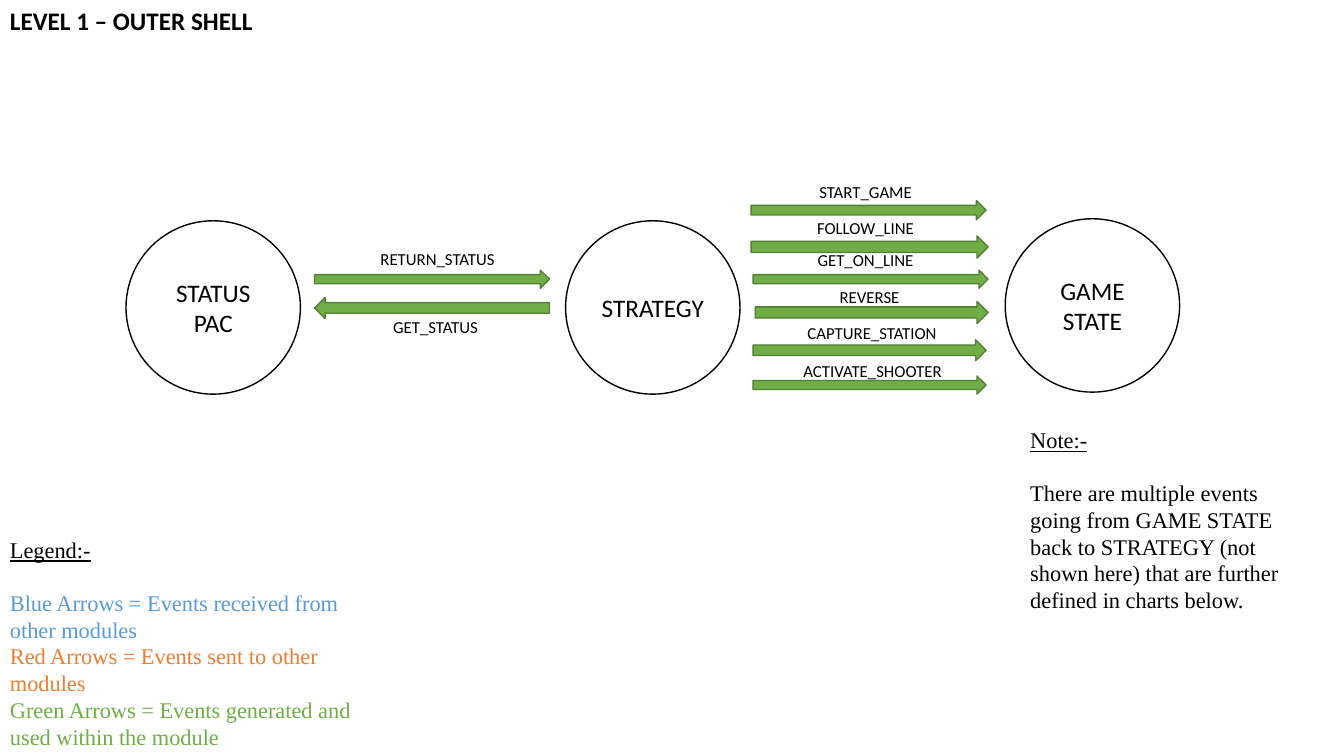
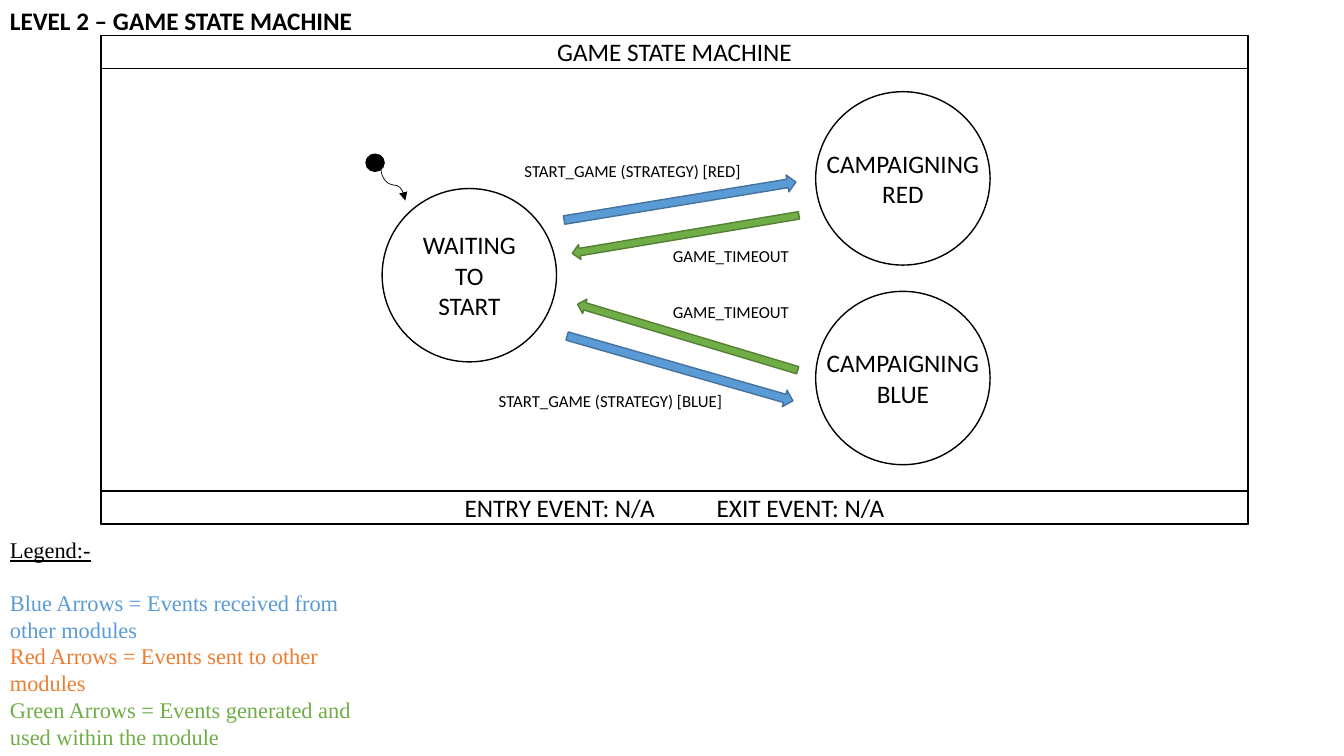
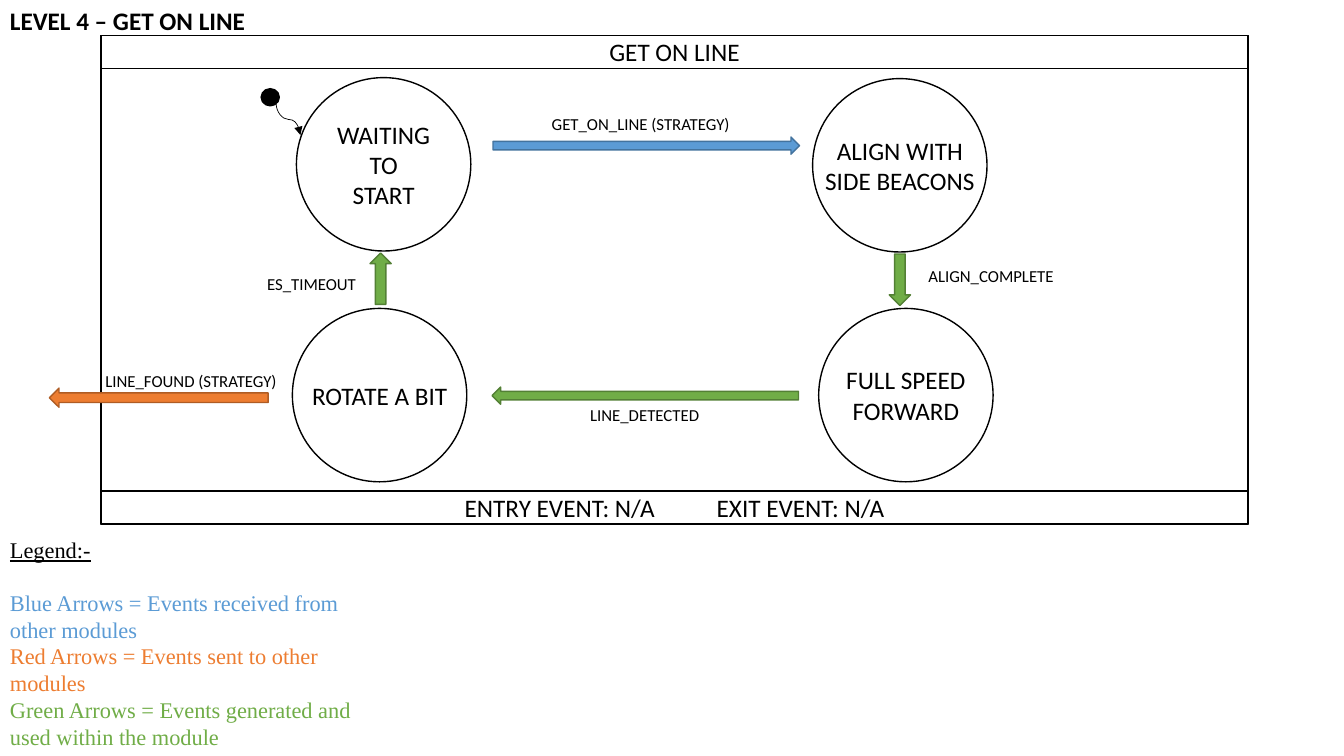
from collections import namedtuple
from dataclasses import dataclass

from lxml import etree
from pptx import Presentation
from pptx.dml.color import RGBColor
from pptx.enum.shapes import MSO_CONNECTOR, MSO_SHAPE
from pptx.enum.text import MSO_ANCHOR, MSO_AUTO_SIZE, PP_ALIGN
from pptx.oxml.ns import qn
from pptx.util import Inches, Pt

OVAL = MSO_SHAPE.OVAL
RECTANGLE = MSO_SHAPE.RECTANGLE
RIGHT_ARROW = MSO_SHAPE.RIGHT_ARROW
CURVE = MSO_CONNECTOR.CURVE
LEFT, CENTER = PP_ALIGN.LEFT, PP_ALIGN.CENTER
MIDDLE = MSO_ANCHOR.MIDDLE
GROW = MSO_AUTO_SIZE.SHAPE_TO_FIT_TEXT

Box = namedtuple("Box", "left top width height")
ArrowStyle = namedtuple("ArrowStyle", "fill line")


@dataclass(frozen=True)
class Theme:
    """Colours, fonts and sizes shared by every slide."""
    ink: str = "000000"
    paper: str = "FFFFFF"
    received: ArrowStyle = ArrowStyle("5B9BD5", "43739E")
    sent: ArrowStyle = ArrowStyle("ED7D31", "AF5C24")
    internal: ArrowStyle = ArrowStyle("70AD47", "538035")
    font: str = "Calibri"
    note_font: str = "Times New Roman"
    heading_size: float = 18
    note_size: float = 16
    event_size: float = 12
    note_gap: float = 18.4
    outline: float = 1
    thin_line: float = 0.5


THEME = Theme()
RECEIVED, SENT, INTERNAL = THEME.received, THEME.sent, THEME.internal
SLIDE_SIZE = (13.33, 7.5)
LEGEND_BOX = Box(0, 5.27, 3.92, 2.2)
NOTE_BOX = Box(10.12, 4.18, 3, 2.29)
MACHINE_BOX = Box(1, 0.35, 11.38, 4.85)
BAND_HEIGHT = 0.33
STATE_WIDTH, STATE_HEIGHT = 1.73, 1.72
LINE_HEIGHT = 0.3
EVENT_HEIGHT = 0.3
NARROW, WIDE = 1.12, 1.85

LEGEND = [
    ("Blue Arrows = Events received from other modules", RECEIVED.fill),
    ("Red Arrows = Events sent to other modules", SENT.fill),
    ("Green Arrows = Events generated and used within the module", INTERNAL.fill),
]
NOTE = [
    ("There are multiple events going from GAME STATE back to STRATEGY "
     "(not shown here) that are further defined in charts below.", THEME.ink),
]

# States: label, left, top, label width, label lines
# Events: label, label (left, top, width), arrow box, rotation, arrow style
SHELL_STATES = [
    ("STATUS PAC", 1.25, 2.19, NARROW, 2),
    ("STRATEGY", 5.61, 2.19, 1.26, 1),
    ("GAME STATE", 9.97, 2.17, NARROW, 2),
]
SHELL_EVENTS = [
    ("RETURN_STATUS", (3.67, 2.42, 1.34), Box(3.12, 2.68, 2.33, 0.18), 0, INTERNAL),
    ("GET_STATUS", (3.6, 3.09, 1.44), Box(3.12, 2.95, 2.33, 0.21), 180, INTERNAL),
    ("START_GAME", (7.92, 1.75, 1.33), Box(7.45, 1.99, 2.33, 0.19), 0, INTERNAL),
    ("FOLLOW_LINE", (7.92, 2.11, 1.33), Box(7.45, 2.34, 2.35, 0.22), 0, INTERNAL),
    ("GET_ON_LINE", (7.92, 2.43, 1.33), Box(7.47, 2.68, 2.33, 0.18), 0, INTERNAL),
    ("REVERSE", (7.96, 2.8, 1.33), Box(7.49, 2.99, 2.31, 0.22), 0, INTERNAL),
    ("CAPTURE_STATION", (7.87, 3.15, 1.56), Box(7.47, 3.37, 2.31, 0.21), 0, INTERNAL),
    ("ACTIVATE_SHOOTER", (7.85, 3.53, 1.61), Box(7.47, 3.73, 2.31, 0.18), 0, INTERNAL),
]
GAME_STATES = [
    ("WAITING TO START", 3.79, 1.87, NARROW, 3),
    ("CAMPAIGNING RED", 8.09, 0.91, WIDE, 2),
    ("CAMPAIGNING BLUE", 8.09, 2.89, WIDE, 2),
]
GAME_EVENTS = [
    ("START_GAME (STRATEGY) [RED]", (4.74, 1.55, 3.07),
     Box(5.58, 1.91, 2.33, 0.17), 350.7, RECEIVED),
    ("GAME_TIMEOUT", (6.53, 2.39, 1.44), Box(5.66, 2.25, 2.28, 0.15), 170.5, INTERNAL),
    ("START_GAME (STRATEGY) [BLUE]", (4.52, 3.83, 3.07),
     Box(5.58, 3.57, 2.33, 0.17), 16, RECEIVED),
    ("GAME_TIMEOUT", (6.53, 2.94, 1.44), Box(5.68, 3.27, 2.28, 0.15), 196.7, INTERNAL),
]
LINE_STATES = [
    ("WAITING TO START", 2.94, 0.77, NARROW, 3),
    ("ALIGN WITH SIDE BEACONS", 8.06, 0.78, WIDE, 2),
    ("FULL SPEED FORWARD", 8.12, 3.06, WIDE, 2),
    ("ROTATE A BIT", 2.9, 3.06, WIDE, 1),
]
LINE_EVENTS = [
    ("GET_ON_LINE (STRATEGY)", (4.82, 1.08, 3.07),
     Box(4.89, 1.36, 3.04, 0.17), 0, RECEIVED),
    ("ALIGN_COMPLETE", (9.06, 2.59, 1.54), Box(8.67, 2.67, 0.51, 0.21), 90, INTERNAL),
    ("LINE_DETECTED", (4.86, 3.97, 3.07), Box(4.88, 3.84, 3.04, 0.17), 180, INTERNAL),
    ("ES_TIMEOUT", (2.37, 2.67, 1.44), Box(3.52, 2.66, 0.51, 0.21), 270, INTERNAL),
    ("LINE_FOUND (STRATEGY)", (0.9, 3.63, 1.99),
     Box(0.49, 3.85, 2.17, 0.19), 180, SENT),
]


def to_lengths(box):
    """Convert a box in inches to slide lengths."""
    return [Inches(value) for value in box]


def add_run(paragraph, text, size, color=THEME.ink, font=THEME.font,
            bold=False, underline=False):
    """Append one formatted run to a paragraph."""
    run = paragraph.add_run()
    run.text = text
    run.font.name = font
    run.font.size = Pt(size)
    run.font.color.rgb = RGBColor.from_string(color)
    run.font.bold = bold
    run.font.underline = underline


def add_text_box(shapes, box, wrap=True):
    """Add an empty text box that grows with its text; return its frame."""
    frame = shapes.add_textbox(*to_lengths(box)).text_frame
    frame.word_wrap = wrap
    frame.auto_size = GROW
    return frame


def add_label(shapes, box, text, size, align=CENTER, wrap=True, bold=False):
    """Add a text box holding one paragraph."""
    paragraph = add_text_box(shapes, box, wrap).paragraphs[0]
    paragraph.alignment = align
    add_run(paragraph, text, size, bold=bold)


def add_outlined(shapes, kind, box, fill=None, line=THEME.ink):
    """Add a flat preset shape with an outline and an optional fill."""
    shape = shapes.add_shape(kind, *to_lengths(box))
    shape.shadow.inherit = False
    if fill:
        shape.fill.solid()
        shape.fill.fore_color.rgb = RGBColor.from_string(fill)
    else:
        shape.fill.background()
    shape.line.color.rgb = RGBColor.from_string(line)
    shape.line.width = Pt(THEME.outline)
    return shape


def draw_notes(slide, box, heading, entries):
    """Draw an underlined heading with coloured paragraphs below it."""
    frame = add_text_box(slide.shapes, box)
    paragraph = frame.paragraphs[0]
    paragraph.space_after = Pt(THEME.note_gap)
    add_run(paragraph, heading, THEME.note_size, font=THEME.note_font, underline=True)
    for text, color in entries:
        add_run(frame.add_paragraph(), text, THEME.note_size, color, THEME.note_font)


def draw_band(shapes, box, text):
    """Draw one captioned band of a machine frame."""
    band = add_outlined(shapes, RECTANGLE, box, THEME.paper)
    band.text_frame.vertical_anchor = MIDDLE
    paragraph = band.text_frame.paragraphs[0]
    paragraph.alignment = CENTER
    add_run(paragraph, text, THEME.heading_size)


def draw_machine_frame(slide, box, name):
    """Draw the frame of a state machine with its top and bottom bands."""
    shapes = slide.shapes.add_group_shape().shapes
    add_outlined(shapes, RECTANGLE, box)
    top_band = box._replace(height=BAND_HEIGHT)
    draw_band(shapes, top_band, name)
    draw_band(shapes, top_band._replace(top=box.top + box.height - BAND_HEIGHT),
              "ENTRY EVENT: N/A\t\tEXIT EVENT: N/A")


def draw_state(slide, box, text, label_width, lines):
    """Draw a state circle with its label centred on it."""
    shapes = slide.shapes.add_group_shape().shapes
    add_outlined(shapes, OVAL, box, THEME.paper)
    label_height = 0.1 + LINE_HEIGHT * lines
    label_box = Box(box.left + (box.width - label_width) / 2,
                    box.top + (box.height - label_height) / 2,
                    label_width, label_height)
    add_label(shapes, label_box, text, THEME.heading_size)


def draw_event(slide, box, text, label_place, rotation, style):
    """Draw an event arrow in its box, and its label."""
    arrow = add_outlined(slide.shapes, RIGHT_ARROW, box, style.fill, style.line)
    arrow.rotation = rotation
    add_label(slide.shapes, Box(*label_place, EVENT_HEIGHT), text, THEME.event_size)


def draw_entry_marker(slide, box):
    """Draw the entry dot in its box and a curved arrow leaving it."""
    shapes = slide.shapes.add_group_shape().shapes
    add_outlined(shapes, OVAL, box, THEME.ink)
    drop, shift = 0.31, 0.24
    center_x = box.left + 0.15 + shift / 2
    center_y = box.top + 0.15 + drop / 2
    # Laid out sideways, then turned so that the curve starts downwards
    arrow = shapes.add_connector(CURVE, *to_lengths(
        (center_x + drop / 2, center_y - shift / 2,
         center_x - drop / 2, center_y + shift / 2)))
    arrow.line.color.rgb = RGBColor.from_string(THEME.ink)
    arrow.line.width = Pt(THEME.thin_line)
    properties = arrow._element.spPr
    properties.find(qn("a:xfrm")).set("rot", str(270 * 60000))
    etree.SubElement(properties.find(qn("a:ln")), qn("a:tailEnd"), type="triangle")
    etree.SubElement(properties, qn("a:effectLst"))


def draw_diagram(slide, states, events):
    """Draw all states and events of a slide."""
    for text, left, top, label_width, lines in states:
        draw_state(slide, Box(left, top, STATE_WIDTH, STATE_HEIGHT),
                   text, label_width, lines)
    for text, label_place, box, rotation, style in events:
        draw_event(slide, box, text, label_place, rotation, style)


def add_level_slide(presentation, title, title_width):
    """Add a blank slide with the shared title and legend."""
    slide = presentation.slides.add_slide(presentation.slide_layouts[6])
    add_label(slide.shapes, Box(0, 0, title_width, 0.4), title,
              THEME.heading_size, LEFT, wrap=False, bold=True)
    draw_notes(slide, LEGEND_BOX, "Legend:-", LEGEND)
    return slide


def add_shell_slide(presentation):
    """Add the overview of the modules and their events."""
    slide = add_level_slide(presentation, "LEVEL 1 – OUTER SHELL", 2.64)
    draw_diagram(slide, SHELL_STATES, SHELL_EVENTS)
    draw_notes(slide, NOTE_BOX, "Note:-", NOTE)


def add_machine_slide(presentation, title, title_width, name, entry_dot, states, events):
    """Add a slide with one framed state machine."""
    slide = add_level_slide(presentation, title, title_width)
    draw_machine_frame(slide, MACHINE_BOX, name)
    draw_diagram(slide, states, events)
    draw_entry_marker(slide, entry_dot)


def main():
    """Build and save the presentation."""
    presentation = Presentation()
    presentation.slide_width, presentation.slide_height = to_lengths(SLIDE_SIZE)
    add_shell_slide(presentation)
    add_machine_slide(presentation, "LEVEL 2 – GAME STATE MACHINE", 3.63,
                      "GAME STATE MACHINE", Box(3.63, 1.53, 0.18, 0.17),
                      GAME_STATES, GAME_EVENTS)
    add_machine_slide(presentation, "LEVEL 4 – GET ON LINE", 2.56,
                      "GET ON LINE", Box(2.59, 0.88, 0.18, 0.17),
                      LINE_STATES, LINE_EVENTS)
    presentation.save("out.pptx")


main()
